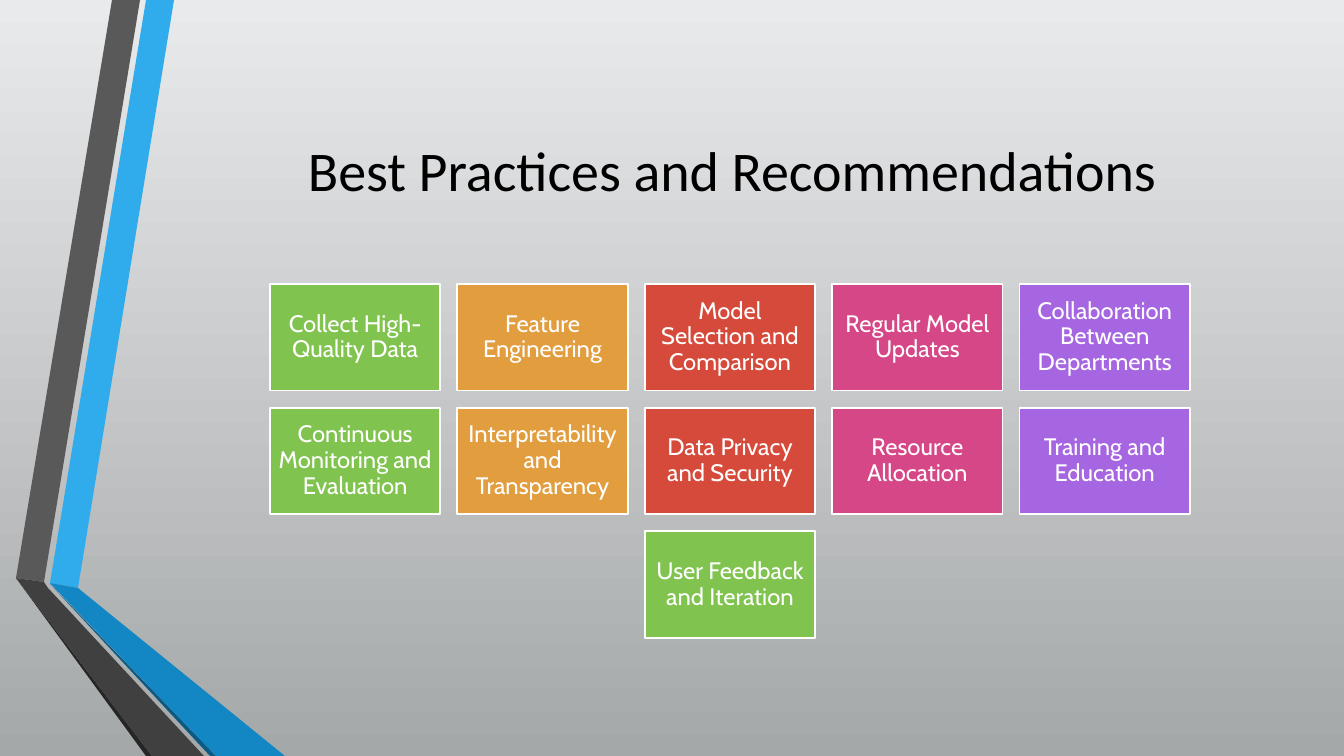
from pptx import Presentation
from pptx.dml.color import RGBColor as RGB
from pptx.enum.shapes import MSO_SHAPE as SHAPE
from pptx.enum.text import MSO_ANCHOR as ANCHOR, PP_ALIGN as ALIGN
from pptx.util import Emu, Pt

PX = 914400 / 100.8
BLACK = RGB(0x00, 0x00, 0x00)
WHITE = RGB(0xFF, 0xFF, 0xFF)
PALE = RGB(0xE9, 0xEA, 0xEB)
GREY = RGB(0xA5, 0xA8, 0xA9)
SKY = RGB(0x30, 0xAC, 0xEC)
BLUE = RGB(0x12, 0x87, 0xC3)
NAVY = RGB(0x0C, 0x5A, 0x82)
STONE = RGB(0x59, 0x59, 0x59)
SLATE = RGB(0x40, 0x40, 0x40)
COAL = RGB(0x26, 0x26, 0x26)
GREEN = RGB(0x80, 0xC3, 0x4F)
AMBER = RGB(0xE2, 0x9D, 0x3E)
RED = RGB(0xD6, 0x4A, 0x3B)
PINK = RGB(0xD6, 0x47, 0x87)
VIOLET = RGB(0xA6, 0x66, 0xE1)
TINTS = [GREEN, AMBER, RED, PINK, VIOLET]

BANDS = [
    (SKY, [(34, 583), (62, 588), (158, 0), (130, 0)]),
    (STONE, [(124, 0), (96, 0), (0, 578), (28, 582)]),
    (COAL, [(0, 578), (130, 756), (136, 756)]),
    (NAVY, [(34, 584), (194, 756), (200, 756)]),
    (BLUE, [(34, 583), (200, 756), (269, 756), (62, 588)]),
    (SLATE, [(0, 578), (136, 756), (188, 756), (32, 588), (28, 582)]),
]
TITLE = "Best Practices and Recommendations"
ROWS = [
    ["Collect High-Quality Data", "Feature Engineering",
     "Model Selection and Comparison", "Regular Model Updates",
     "Collaboration Between Departments"],
    ["Continuous Monitoring and Evaluation",
     "Interpretability and Transparency", "Data Privacy and Security",
     "Resource Allocation", "Training and Education"],
    ["User Feedback and Iteration"],
]


def emu(num):
    """Turn pixels into EMU."""
    return Emu(round(num * PX))


def style(item, form):
    """Set each attribute named in the dict."""
    for key, value in form.items():
        setattr(item, key, value)


def paint(shape, tint):
    """Fill a shape with a solid colour and drop its shadow."""
    shape.shadow.inherit = False
    shape.fill.solid()
    shape.fill.fore_color.rgb = tint


def write(shape, text, inset, font, tint, space):
    """Put centred text into a shape."""
    frame = shape.text_frame
    sides = ("left", "right", "top", "bottom")
    style(frame, {f"margin_{side}": emu(inset) for side in sides})
    style(frame, {"word_wrap": True, "vertical_anchor": ANCHOR.MIDDLE})
    para = frame.paragraphs[0]
    style(para, {"alignment": ALIGN.CENTER, "line_spacing": space})
    run = para.add_run()
    run.text = text
    style(run.font, font)
    run.font.color.rgb = tint


def draw_back(slide):
    """Lay the vertical gradient behind the slide."""
    fill = slide.background.fill
    fill.gradient()
    fill.gradient_angle = 270
    for stop, tint in zip(fill.gradient_stops, (PALE, GREY)):
        stop.color.rgb = tint


def draw_bands(slide, left, top):
    """Draw the folded ribbons from the given corner."""
    for tint, points in BANDS:
        path = slide.shapes.build_freeform(*points[0], scale=PX)
        path.add_line_segments(points[1:], close=True)
        band = path.convert_to_shape(emu(left), emu(top))
        paint(band, tint)
        band.line.fill.background()


def draw_title(slide, *box):
    """Write the heading in its box."""
    title = slide.shapes.add_textbox(*map(emu, box))
    write(title, TITLE, 10, {"name": "Calibri", "size": Pt(40)}, BLACK, 0.9)


def draw_tiles(slide, left, top, width, height, gap=17):
    """Spread the tiles over a grid and centre each short row."""
    cols = len(TINTS)
    wide = (width - gap * (cols - 1)) / cols
    high = (height - gap * (len(ROWS) - 1)) / len(ROWS)
    font = {"name": "Cabin", "size": Pt(17)}
    for row, names in enumerate(ROWS):
        start = left + (cols - len(names)) / 2 * (wide + gap)
        for col, name in enumerate(names):
            box = (start + col * (wide + gap), top + row * (high + gap),
                   wide, high)
            tile = slide.shapes.add_shape(SHAPE.RECTANGLE, *map(emu, box))
            paint(tile, TINTS[col])
            tile.line.color.rgb = WHITE
            tile.line.width = Pt(1.25)
            write(tile, name, 7, font, WHITE, 0.9)


deck = Presentation()
style(deck, {"slide_width": emu(1344), "slide_height": emu(756)})
slide = deck.slides.add_slide(deck.slide_layouts[6])
draw_back(slide)
draw_bands(slide, 16, 0)
draw_title(slide, 195, 76, 1074, 194)
draw_tiles(slide, 270, 284, 920, 354)
deck.save("out.pptx")
